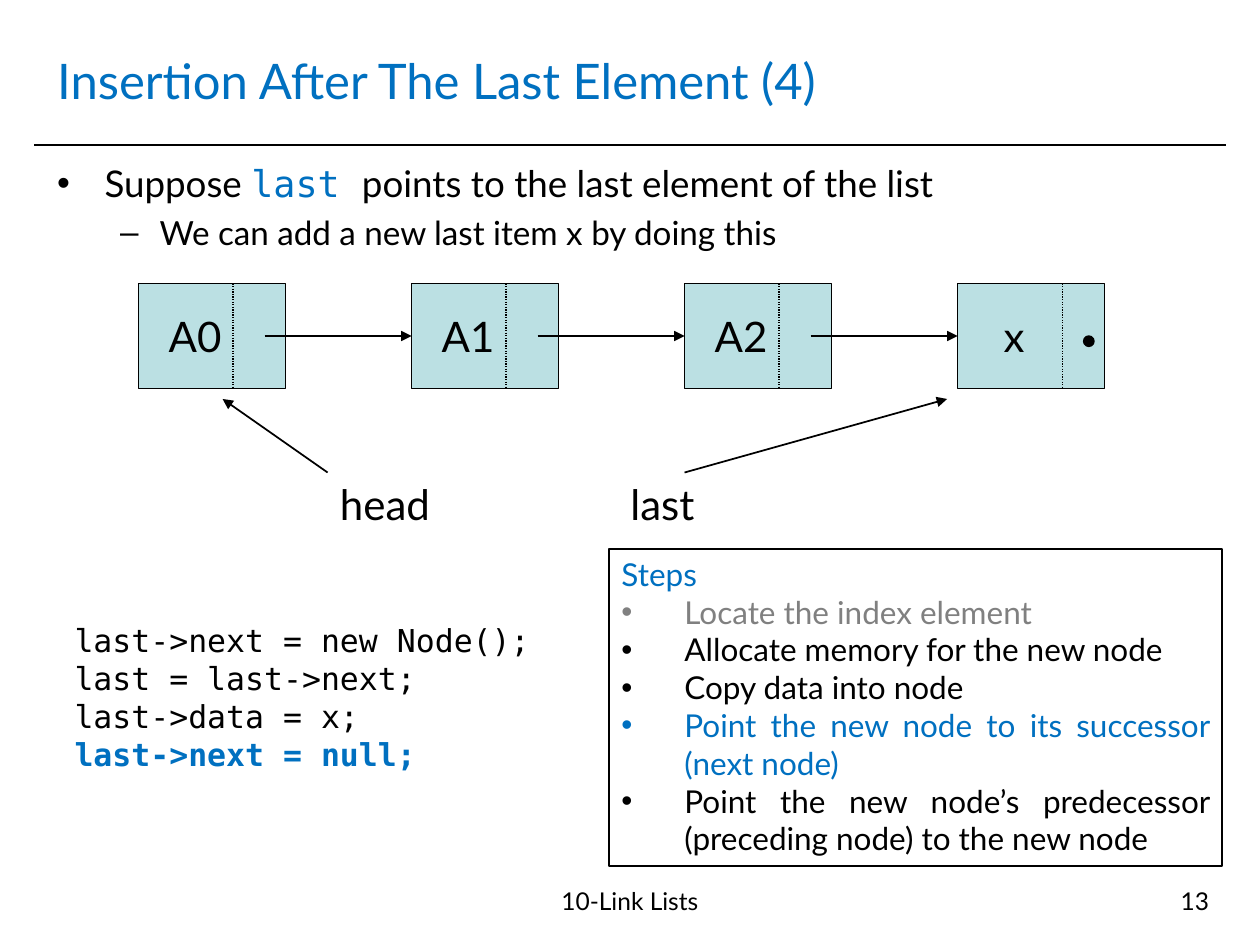
import pptx
import pptx.util
import pptx.oxml.ns
from pptx.dml.color import RGBColor
from pptx.enum.dml import MSO_LINE
from pptx.enum.shapes import MSO_CONNECTOR, MSO_SHAPE
from pptx.enum.text import MSO_ANCHOR, MSO_AUTO_SIZE, PP_ALIGN
from lxml import etree

Pt = pptx.util.Pt
qn = pptx.oxml.ns.qn
COLORS = {"black": "000000", "blue": "0070C0", "gray": "808080", "node": "BBE0E3"}
SANS, MONO = "Lato", "DejaVu Sans Mono"
NODE_W, NODE_H, PITCH = 84, 60, 156


def rgb(name):
    return RGBColor.from_string(COLORS[name])


def style(r, size, color="black", font=SANS, bold=False):
    r.font.size, r.font.name, r.font.bold = Pt(size), font, bold
    r.font.color.rgb = rgb(color)


def add_bullet(p, char, margin, hang, color):
    pPr = p._p.get_or_add_pPr()
    pPr.set("marL", str(Pt(margin)))
    pPr.set("indent", str(-Pt(hang)))
    clr = etree.SubElement(pPr, qn("a:buClr"))
    etree.SubElement(clr, qn("a:srgbClr")).set("val", COLORS[color])
    etree.SubElement(pPr, qn("a:buFont")).set("typeface", "Arial")
    etree.SubElement(pPr, qn("a:buChar")).set("char", char)


def place(sp, x, y, w, h):
    sp.left, sp.top, sp.width, sp.height = Pt(x), Pt(y), Pt(w), Pt(h)


def add_line(s, x1, y1, x2, y2, width=1, arrow=False, dash=None):
    c = s.shapes.add_connector(MSO_CONNECTOR.STRAIGHT, Pt(x1), Pt(y1), Pt(x2), Pt(y2))
    c.line.color.rgb, c.line.width = rgb("black"), Pt(width)
    if dash:
        c.line.dash_style = dash
    if arrow:
        tail = etree.SubElement(c.line._get_or_add_ln(), qn("a:tailEnd"))
        tail.set("type", "triangle")
    etree.SubElement(c._element.spPr, qn("a:effectLst"))


def add_shape(s, kind, x, y, w, h, fill=None, width=0.75):
    sp = s.shapes.add_shape(kind, Pt(x), Pt(y), Pt(w), Pt(h))
    sp.shadow.inherit = False
    if fill:
        sp.fill.solid()
        sp.fill.fore_color.rgb = rgb(fill)
    else:
        sp.fill.background()
    sp.line.color.rgb, sp.line.width = rgb("black"), Pt(width)
    return sp


def add_label(s, text, x, y, w, h, size, align=PP_ALIGN.LEFT, wrap=True):
    tf = s.shapes.add_textbox(Pt(x), Pt(y), Pt(w), Pt(h)).text_frame
    tf.word_wrap = wrap
    p = tf.paragraphs[0]
    p.text, p.alignment = text, align
    style(p.runs[0], size)


def add_header(s, x, y, w, h):
    title = s.shapes.title
    place(title, x, y, w, h)
    tf = title.text_frame
    tf.text = "Insertion After The Last Element (4)"
    tf.auto_size, tf.vertical_anchor = MSO_AUTO_SIZE.NONE, MSO_ANCHOR.MIDDLE
    tf.paragraphs[0].alignment = PP_ALIGN.LEFT
    style(tf.paragraphs[0].runs[0], 28, "blue")
    add_line(s, x - 6, y + h + 6.5, x + w + 6, y + h + 6.5)


def add_body(s, x, y, w, h):
    body = s.placeholders[1]
    place(body, x, y, w, h)
    tf = body.text_frame
    tf.auto_size = MSO_AUTO_SIZE.NONE
    p = tf.paragraphs[0]
    p.space_before = Pt(0)
    add_bullet(p, "•", 27, 27, "black")
    for text, color, font in (("Suppose ", "black", SANS), ("last ", "blue", MONO),
                              ("points to the last element of the list", "black", SANS)):
        r = p.add_run()
        r.text = text
        style(r, 21, color, font)
    p = tf.add_paragraph()
    p.text, p.level, p.space_before = "We can add a new last item x by doing this", 1, Pt(3.8)
    add_bullet(p, "–", 58.5, 22.5, "black")
    style(p.runs[0], 19)


def add_node(s, text, x, y, divider):
    sp = add_shape(s, MSO_SHAPE.RECTANGLE, x, y, NODE_W, NODE_H, "node")
    tf = sp.text_frame
    tf.text, tf.vertical_anchor = text, MSO_ANCHOR.MIDDLE
    tf.margin_right = Pt(26.5)
    tf.paragraphs[0].alignment = PP_ALIGN.CENTER
    style(tf.paragraphs[0].runs[0], 24)
    add_line(s, x + divider, y, x + divider, y + NODE_H, 0.75, dash=MSO_LINE.ROUND_DOT)


def add_linked_list(s, x, y):
    """Nodes in a row, with next arrows, the end dot and the two named pointers."""
    labels = ["A0", "A1", "A2", "x"]
    end = len(labels) - 1
    for i, text in enumerate(labels):
        add_node(s, text, x + i * PITCH, y, 60 if i == end else 54)
    for i in range(end):
        add_line(s, x + i * PITCH + 72, y + 30, x + (i + 1) * PITCH, y + 30, arrow=True)
    add_shape(s, MSO_SHAPE.OVAL, x + end * PITCH + 72, y + 30, 6, 6, "black")
    for text, left, w, start, tip in (("head", 108, 67, 108, 48), ("last", 274, 52, 312, 462)):
        add_label(s, text, x + left, y + 108, w, 36, 24, wrap=False)
        add_line(s, x + start, y + 108, x + tip, y + 66, arrow=True)


def add_code(s, x, y, w, h):
    tf = s.shapes.add_textbox(Pt(x), Pt(y), Pt(w), Pt(h)).text_frame
    tf.word_wrap = True
    tf.text = "last->next = new Node();\nlast = last->next;\nlast->data = x;\nlast->next = null;"
    for p in tf.paragraphs:
        style(p.runs[0], 18, font=MONO)
    style(tf.paragraphs[-1].runs[0], 18, "blue", MONO, True)


def add_steps(s, x, y, w, h):
    tf = add_shape(s, MSO_SHAPE.RECTANGLE, x, y, w, h, width=1).text_frame
    tf.word_wrap, tf.vertical_anchor = True, MSO_ANCHOR.TOP
    p = tf.paragraphs[0]
    p.text, p.alignment = "Steps", PP_ALIGN.LEFT
    style(p.runs[0], 18, "blue")
    for text, color in (
            ("Locate the index element", "gray"),
            ("Allocate memory for the new node", "black"),
            ("Copy data into node", "black"),
            ("Point the new node to its successor (next node)", "blue"),
            ("Point the new node’s predecessor (preceding node) to the new node", "black")):
        p = tf.add_paragraph()
        p.text, p.alignment = text, PP_ALIGN.JUSTIFY
        add_bullet(p, "•", 36, 36, color)
        style(p.runs[0], 18, color)


def main():
    prs = pptx.Presentation()
    prs.slide_width, prs.slide_height = Pt(720), Pt(540)
    s = prs.slides.add_slide(prs.slide_layouts[1])
    add_header(s, 25.5, 15, 669, 61.5)
    add_body(s, 25.5, 88.5, 669, 65.5)
    add_linked_list(s, 79.2, 162)
    add_code(s, 35.5, 351.5, 289.5, 94.5)
    add_steps(s, 348, 313.5, 350.5, 181.5)
    add_label(s, "10-Link Lists", 241, 502.5, 238, 37.5, 14, PP_ALIGN.CENTER)
    add_label(s, "13", 530, 502.5, 168, 37.5, 14, PP_ALIGN.RIGHT)
    prs.save("out.pptx")


if __name__ == "__main__":
    main()
